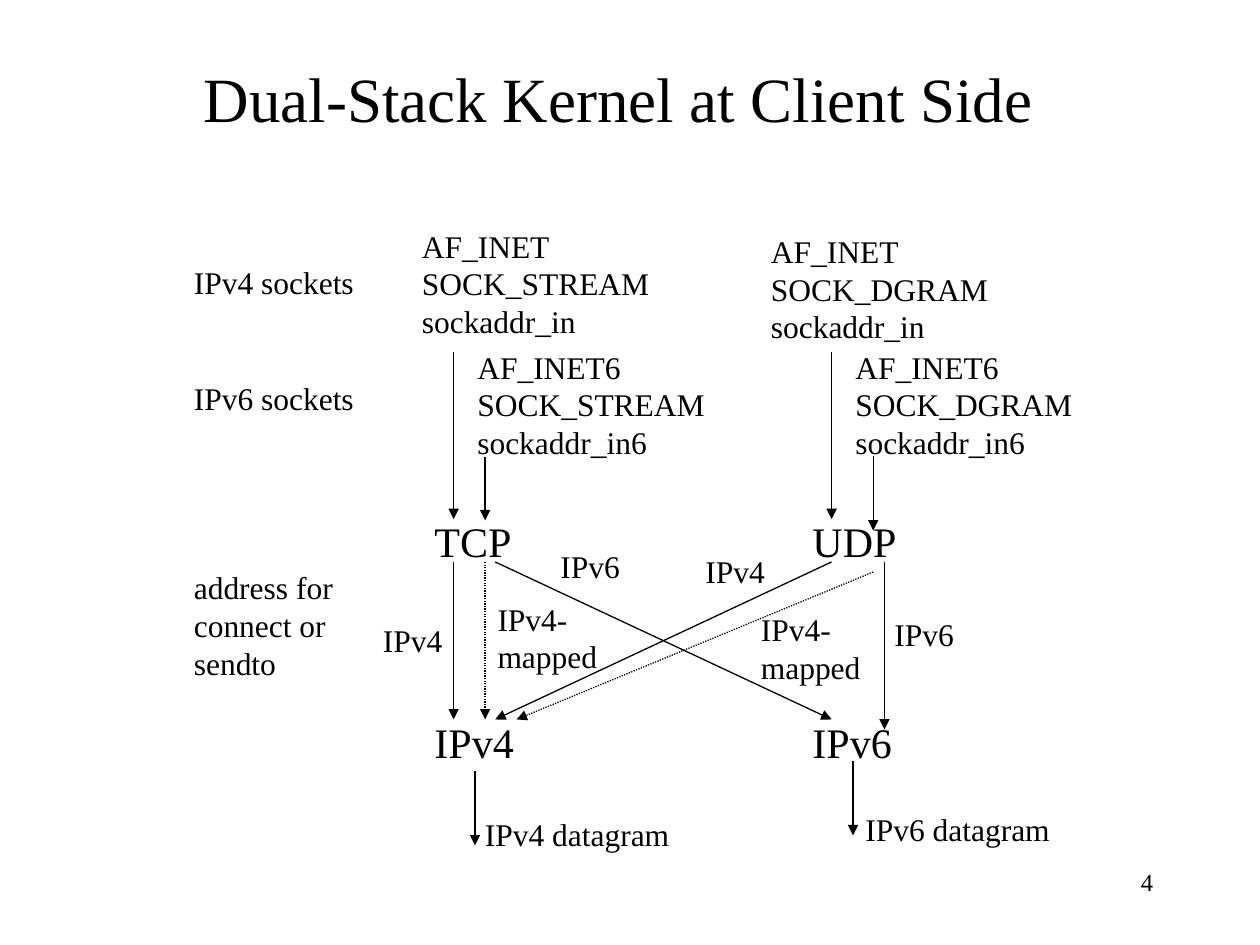
from pptx import Presentation
from pptx import util as u
from pptx.dml.color import RGBColor
from pptx.enum import dml, shapes, text
from pptx.oxml.ns import qn
from lxml import etree

FONT = "Times New Roman"
INK = "000000"
LINE_RATIO = 1.2  # line height over font size


def color(value):
    return RGBColor.from_string(value)


def write_lines(box, lines, size, align=text.PP_ALIGN.LEFT):
    frame = box.text_frame
    frame.text = "\n".join(lines)
    frame.word_wrap = False
    frame.auto_size = text.MSO_AUTO_SIZE.NONE
    frame.vertical_anchor = text.MSO_ANCHOR.TOP
    for para in frame.paragraphs:
        para.alignment = align
        para.line_spacing = u.Pt(round(size * LINE_RATIO, 1))
        para.space_before = u.Pt(0)
        para.font.name = FONT
        para.font.size = u.Pt(size)
        para.font.color.rgb = color(INK)


def add_label(page, left, top, width, lines, size=18, align=text.PP_ALIGN.LEFT):
    height = 0.1 + len(lines) * size * LINE_RATIO / 72
    box = page.shapes.add_textbox(u.Inches(left), u.Inches(top),
                                  u.Inches(width), u.Inches(height))
    write_lines(box, lines, size, align)


def add_arrow(page, x1, y1, x2, y2, dotted=False):
    arrow = page.shapes.add_connector(
        shapes.MSO_CONNECTOR.STRAIGHT,
        u.Inches(x1), u.Inches(y1), u.Inches(x2), u.Inches(y2))
    arrow.line.color.rgb = color(INK)
    arrow.line.width = u.Pt(0.75)
    if dotted:
        arrow.line.dash_style = dml.MSO_LINE.ROUND_DOT
    outline = arrow.line._get_or_add_ln()
    etree.SubElement(outline, qn("a:tailEnd"), type="triangle")
    etree.SubElement(arrow._element.spPr, qn("a:effectLst"))


def add_title(page, left, top, width, height):
    title = page.shapes.title
    title.left, title.top = u.Inches(left), u.Inches(top)
    title.width, title.height = u.Inches(width), u.Inches(height)
    write_lines(title, ["Dual-Stack Kernel at Client Side"], 36,
                text.PP_ALIGN.CENTER)


def add_row_names(page, left, top):
    add_label(page, left, top, 1.47, ["IPv4 sockets"])
    add_label(page, left, top + 0.92, 1.47, ["IPv6 sockets"])
    add_label(page, left, top + 2.42, 1.3, ["address for", "connect or", "sendto"])


def add_sockets(page, left, top, kind, v4_offset, v6_arrow):
    """Both socket types above one transport protocol."""
    x, y = v4_offset
    add_label(page, left + x, top + y, 2, ["AF_INET", kind, "sockaddr_in"])
    add_label(page, left + 0.34, top + 0.96, 2, ["AF_INET6", kind, "sockaddr_in6"])
    add_arrow(page, left + 0.25, top + 1.04, left + 0.25, top + 2.37)
    x, start, end = v6_arrow
    add_arrow(page, left + x, top + start, left + x, top + end)


def add_protocols(page, left, top, column_gap, row_gap):
    """Transport protocols over network protocols, with the paths between."""
    for row, names in enumerate([("TCP", "UDP"), ("IPv4", "IPv6")]):
        for column, name in enumerate(names):
            add_label(page, left + column * column_gap, top + row * row_gap,
                      0.9, [name], size=24)

    start, end = top + 0.42, top + 1.67
    for x1, y1, x2, y2, dotted in [
        (0.25, start, 0.25, end, False),        # TCP to IPv4
        (0.5, start, 0.5, end, True),           # TCP to IPv4, mapped
        (0.58, start, 3.25, end, False),        # TCP to IPv6
        (3.25, start, 0.58, end, False),        # UDP to IPv4
        (3.58, start + 0.08, 0.75, end, True),  # UDP to IPv4, mapped
        (3.67, start, 3.67, end + 0.08, False), # UDP to IPv6
    ]:
        add_arrow(page, left + x1, y1, left + x2, y2, dotted)

    for x, y, lines in [
        (-0.41, 0.84, ["IPv4"]),
        (0.5, 0.67, ["IPv4-", "mapped"]),
        (1, 0.25, ["IPv6"]),
        (2.15, 0.29, ["IPv4"]),
        (2.59, 0.75, ["IPv4-", "mapped"]),
        (3.65, 0.79, ["IPv6"]),
    ]:
        add_label(page, left + x, top + y, 0.99 if len(lines) > 1 else 0.67, lines)


def add_datagram(page, left, top, name, label_offset):
    add_arrow(page, left, top, left, top + 0.59)
    x, y = label_offset
    add_label(page, left + x, top + y, 1.66, [name])


def build_slide(deck):
    page = deck.slides.add_slide(deck.slide_layouts[5])
    add_title(page, 1.46, 0.42, 6.9, 0.7)
    add_row_names(page, 1.44, 2.04)

    # Sockets
    add_sockets(page, 3.35, 1.75, "SOCK_STREAM", (-0.1, 0), (0.5, 1.88, 2.38))
    add_sockets(page, 6.35, 1.75, "SOCK_DGRAM", (-0.33, 0.04), (0.58, 1.87, 2.46))

    # Protocols and datagrams
    add_protocols(page, 3.35, 4.04, column_gap=3, row_gap=1.6)
    add_datagram(page, 3.77, 6.12, "IPv4 datagram", (-0.02, 0.3))
    add_datagram(page, 6.77, 6.04, "IPv6 datagram", (0, 0.34))

    # Page number
    add_label(page, 7.17, 6.83, 2.08, ["4"], size=14, align=text.PP_ALIGN.RIGHT)


def main():
    deck = Presentation()
    deck.slide_width, deck.slide_height = u.Inches(10), u.Inches(7.5)
    build_slide(deck)
    deck.save("out.pptx")


if __name__ == "__main__":
    main()
